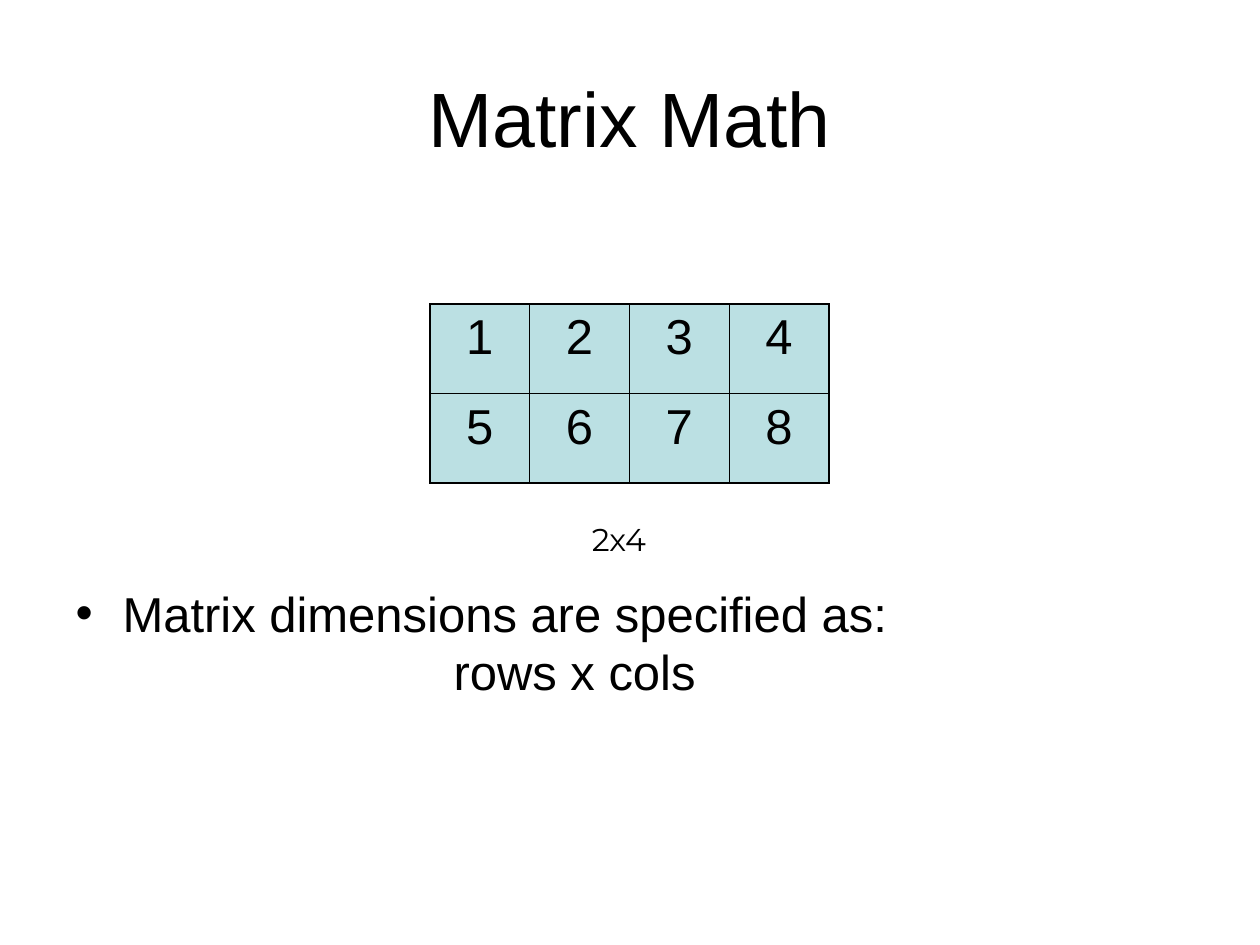
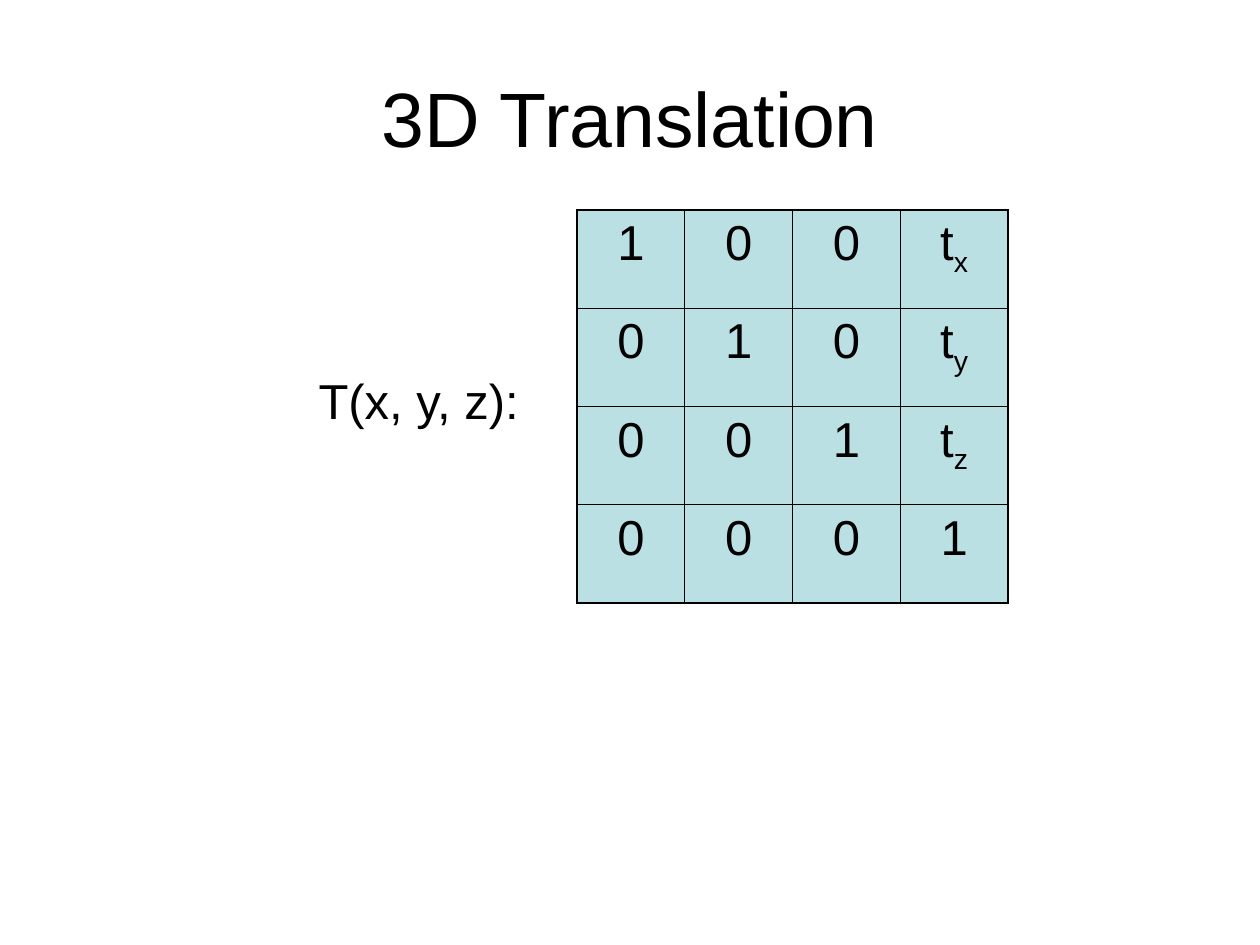
from dataclasses import dataclass

from lxml import etree
from pptx import Presentation
from pptx.dml.color import RGBColor
from pptx.enum.text import MSO_ANCHOR, MSO_AUTO_SIZE, PP_ALIGN
from pptx.oxml.ns import qn
from pptx.util import Emu, Pt

CENTER = PP_ALIGN.CENTER
LEFT = PP_ALIGN.LEFT
TOP = MSO_ANCHOR.TOP
MIDDLE = MSO_ANCHOR.MIDDLE
NO_AUTOFIT = MSO_AUTO_SIZE.NONE

BLACK = RGBColor(0x00, 0x00, 0x00)
WHITE = RGBColor(0xFF, 0xFF, 0xFF)
PALE_TEAL = RGBColor(0xBB, 0xE0, 0xE3)

TEXT_FONT = "Arial"
CAPTION_FONT = "Montserrat"
TITLE_SIZE = 44
TEXT_SIZE = 28
CAPTION_SIZE = 18
OUTER_LINE = Pt(1.08)
INNER_LINE = Pt(0.45)
PX_PER_INCH = 126
TITLE_AND_CONTENT = 1


@dataclass(frozen=True)
class Area:
    left: int
    top: int
    width: int
    height: int


@dataclass(frozen=True)
class Line:
    text: str
    indent: int
    bullet: bool = False


@dataclass(frozen=True)
class Matrix:
    area: Area
    rows: tuple[str, ...]


@dataclass(frozen=True)
class Topic:
    title: str
    body_area: Area
    body_inset: int
    lines: tuple[Line, ...]
    matrix: Matrix
    caption: str = ""


TITLE_AREA = Area(63, 38, 1134, 157)
CAPTION_AREA = Area(569, 514, 100, 53)
BULLET_INDENT = 47

TOPICS = (
    Topic(
        title="Matrix Math",
        body_area=Area(63, 220, 1124, 624),
        body_inset=363,
        lines=(
            Line("Matrix dimensions are specified as:", BULLET_INDENT, bullet=True),
            Line("rows x cols", 378),
        ),
        matrix=Matrix(Area(430, 304, 399, 179), ("1 2 3 4", "5 6 7 8")),
        caption="2x4",
    ),
    Topic(
        title="3D Translation",
        body_area=Area(63, 220, 494, 624),
        body_inset=150,
        lines=(Line("T(x, y, z):", 243),),
        matrix=Matrix(
            Area(577, 210, 431, 393),
            ("1 0 0 t_x", "0 1 0 t_y", "0 0 1 t_z", "0 0 0 1"),
        ),
    ),
)


def px(length: int) -> Emu:
    return Emu(round(length * 914400 / PX_PER_INCH))


def bounds(area: Area) -> tuple[Emu, Emu, Emu, Emu]:
    return px(area.left), px(area.top), px(area.width), px(area.height)


def place(box, area: Area) -> None:
    box.left, box.top, box.width, box.height = bounds(area)


def style(para, size: int, align=LEFT, font: str = TEXT_FONT) -> None:
    para.alignment = align
    para.font.name = font
    para.font.size = Pt(size)
    para.font.color.rgb = BLACK


def add_title(page, text: str) -> None:
    title = page.shapes.title
    place(title, TITLE_AREA)
    frame = title.text_frame
    frame.text = text
    frame.vertical_anchor = MIDDLE
    frame.auto_size = NO_AUTOFIT
    style(frame.paragraphs[0], TITLE_SIZE, CENTER)


def add_body(page, topic: Topic) -> None:
    body = page.placeholders[1]
    place(body, topic.body_area)
    frame = body.text_frame
    frame.text = "\n".join(line.text for line in topic.lines)
    frame.vertical_anchor = TOP
    frame.auto_size = NO_AUTOFIT
    frame.margin_top = px(topic.body_inset)
    for para, line in zip(frame.paragraphs, topic.lines):
        properties = para._p.get_or_add_pPr()
        properties.set("marL", str(px(line.indent)))
        properties.set("indent", str(-px(line.indent) if line.bullet else 0))
        if line.bullet:
            etree.SubElement(properties, qn("a:buChar"), char="•")
        else:
            etree.SubElement(properties, qn("a:buNone"))
        para.space_before = Pt(0)
        style(para, TEXT_SIZE)


def add_caption(page, text: str) -> None:
    frame = page.shapes.add_textbox(*bounds(CAPTION_AREA)).text_frame
    frame.word_wrap = False
    frame.text = text
    style(frame.paragraphs[0], CAPTION_SIZE, CENTER, CAPTION_FONT)


def set_borders(cell, outer_sides: dict[str, bool]) -> None:
    properties = cell._tc.get_or_add_tcPr()
    for index, (side, is_outer) in enumerate(outer_sides.items()):
        width = OUTER_LINE if is_outer else INNER_LINE
        border = etree.Element(qn(f"a:{side}"), w=str(width))
        fill = etree.SubElement(border, qn("a:solidFill"))
        etree.SubElement(fill, qn("a:srgbClr"), val=str(BLACK))
        properties.insert(index, border)


def fill_cell(cell, entry: str) -> None:
    cell.fill.solid()
    cell.fill.fore_color.rgb = PALE_TEAL
    base, _, subscript = entry.partition("_")
    para = cell.text_frame.paragraphs[0]
    para.add_run().text = base
    if subscript:
        span = para.add_run()
        span.text = subscript
        span._r.get_or_add_rPr().set("baseline", "-25000")
    style(para, TEXT_SIZE, CENTER)


def add_matrix(page, matrix: Matrix) -> None:
    entries = [row.split() for row in matrix.rows]
    last_row, last_column = len(entries) - 1, len(entries[0]) - 1
    table = page.shapes.add_table(
        last_row + 1, last_column + 1, *bounds(matrix.area)
    ).table
    table.first_row = False
    table.horz_banding = False
    for row, row_entries in enumerate(entries):
        for column, entry in enumerate(row_entries):
            cell = table.cell(row, column)
            fill_cell(cell, entry)
            set_borders(cell, {
                "lnL": column == 0,
                "lnR": column == last_column,
                "lnT": row == 0,
                "lnB": row == last_row,
            })


def add_topic(deck, topic: Topic) -> None:
    page = deck.slides.add_slide(deck.slide_layouts[TITLE_AND_CONTENT])
    page.background.fill.solid()
    page.background.fill.fore_color.rgb = WHITE
    add_title(page, topic.title)
    add_body(page, topic)
    if topic.caption:
        add_caption(page, topic.caption)
    add_matrix(page, topic.matrix)


def main() -> None:
    deck = Presentation()
    deck.slide_width, deck.slide_height = px(1260), px(945)
    for topic in TOPICS:
        add_topic(deck, topic)
    deck.save("out.pptx")


if __name__ == "__main__":
    main()
